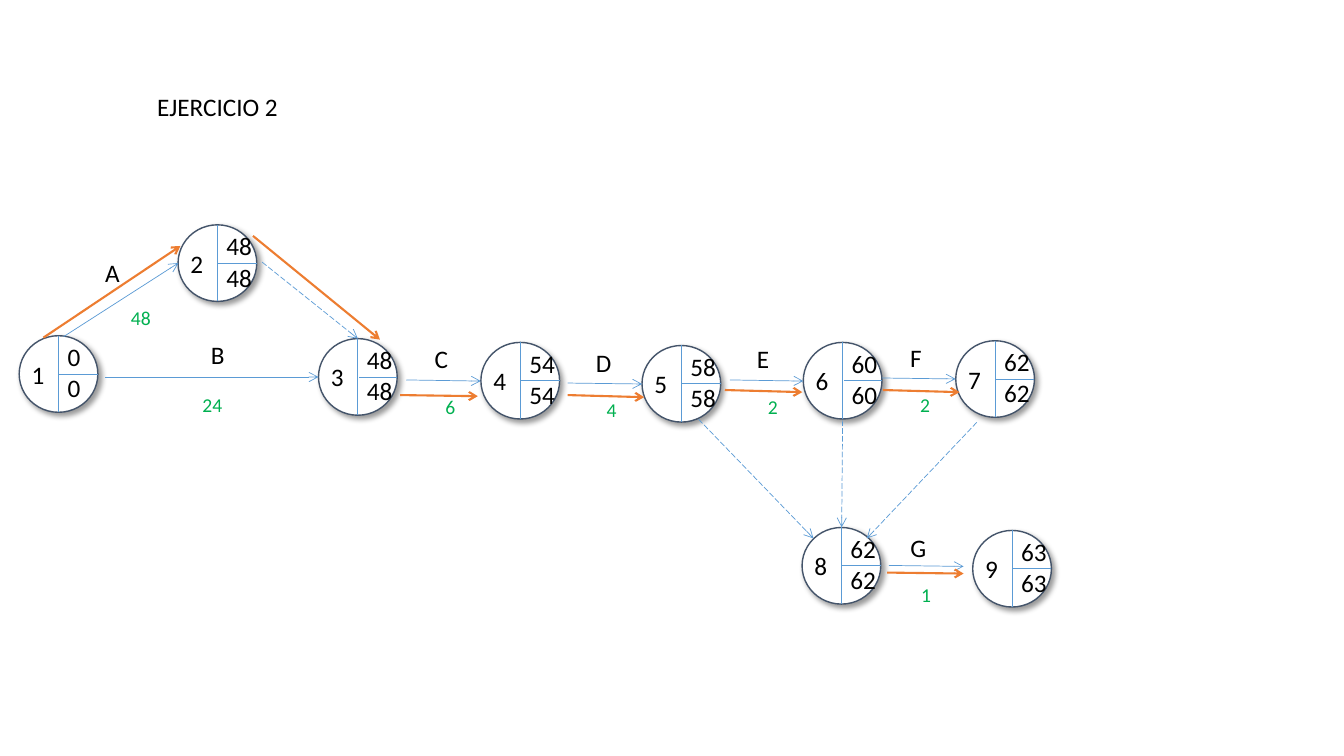
from typing import NamedTuple

from lxml import etree
from pptx import Presentation
from pptx.dml.color import RGBColor
from pptx.enum import dml, shapes, text
from pptx.oxml.ns import qn
from pptx.util import Pt

BLACK = RGBColor(0x00, 0x00, 0x00)
WHITE = RGBColor(0xFF, 0xFF, 0xFF)
NAVY = RGBColor(0x44, 0x54, 0x6A)
BLUE = RGBColor(0x5B, 0x9B, 0xD5)
ORANGE = RGBColor(0xED, 0x7D, 0x31)
GREEN = RGBColor(0x00, 0xB0, 0x50)
FONT = "Calibri"
NODE_W, NODE_H = 56.2, 54.7
INSET = 7.2


class Point(NamedTuple):
    x: float
    y: float


class Node(NamedTuple):
    number: int
    at: Point
    time: int  # earliest and latest times coincide at every node


class Arrow(NamedTuple):
    start: Point
    end: Point


class Activity(NamedTuple):
    name: str
    days: int
    arrow: Arrow
    name_at: Point
    days_at: Point


NODES = [
    Node(1, Point(13.7, 239.8), 0),
    Node(2, Point(127.2, 160.6), 48),
    Node(3, Point(227.5, 241.9), 48),
    Node(4, Point(343.5, 244.6), 54),
    Node(5, Point(458.6, 246.8), 58),
    Node(6, Point(573.8, 244.6), 60),
    Node(7, Point(682.7, 243.4), 62),
    Node(8, Point(572.9, 376.8), 62),
    Node(9, Point(694.8, 378.9), 63),
]
ACTIVITIES = [
    Activity("A", 48, Arrow(Point(45.4, 240.5), Point(127.4, 187.9)),
             Point(68, 180), Point(86.4, 214.6)),
    Activity("B", 24, Arrow(Point(74.9, 269.3), Point(227.5, 269.3)),
             Point(143.5, 239), Point(137.5, 277.2)),
    Activity("C", 6, Arrow(Point(290.2, 271.4), Point(343.4, 272.2)),
             Point(303.3, 241.9), Point(311, 278.6)),
    Activity("D", 4, Arrow(Point(405.4, 273.6), Point(458.6, 274.3)),
             Point(418.5, 244.8), Point(426.2, 280.8)),
    Activity("E", 2, Arrow(Point(521.3, 271.4), Point(573.8, 272.2)),
             Point(533.5, 241.9), Point(541.4, 278.6)),
    Activity("F", 2, Arrow(Point(630, 270), Point(682.6, 270.7)),
             Point(643, 241.2), Point(650.2, 277.2)),
    Activity("G", 1, Arrow(Point(635, 403.9), Point(688.3, 404.6)),
             Point(643.2, 376.6), Point(650.9, 412.6)),
]
DUMMIES = [
    Arrow(Point(187.2, 187.2), Point(255.6, 241.9)),
    Arrow(Point(499, 299.5), Point(581, 384.5)),
    Arrow(Point(601.9, 300.2), Point(601.2, 376.6)),
    Arrow(Point(697.7, 301.7), Point(619.2, 384.5)),
]
CRITICAL_PATH = [
    Arrow(Point(31, 241.2), Point(128.9, 175.7)),
    Arrow(Point(180.7, 168.5), Point(271.4, 242.6)),
    Arrow(Point(285.8, 282.2), Point(341.3, 283)),
    Arrow(Point(405.4, 282.2), Point(460.1, 283.7)),
    Arrow(Point(517.7, 278.6), Point(573.1, 280.1)),
    Arrow(Point(630.7, 278.6), Point(685.4, 280.1)),
    Arrow(Point(633.6, 409), Point(688.3, 409.7)),
]


def add_label(parent, at: Point, words: str, size: float = 18,
              color: RGBColor = BLACK, width: float = 0) -> None:
    width = width or 2 * INSET + len(words) * size * 0.507
    sp = parent.add_textbox(Pt(at.x), Pt(at.y), Pt(width), Pt(size * 1.2 + INSET))
    tf = sp.text_frame
    tf.word_wrap = False
    tf.auto_size = text.MSO_AUTO_SIZE.SHAPE_TO_FIT_TEXT
    r = tf.paragraphs[0].add_run()
    r.text = words
    r.font.name, r.font.size = FONT, Pt(size)
    r.font.color.rgb = color


def add_line(parent, start: Point, end: Point, color: RGBColor = BLUE,
             weight: float = 0.5, dashed: bool = False, head: bool = False) -> None:
    cx = parent.add_connector(shapes.MSO_CONNECTOR.STRAIGHT,
                              Pt(start.x), Pt(start.y), Pt(end.x), Pt(end.y))
    cx.line.color.rgb = color
    cx.line.width = Pt(weight)
    if dashed:
        cx.line.dash_style = dml.MSO_LINE.LONG_DASH
    sp_pr = cx._element.spPr
    if head:
        etree.SubElement(sp_pr.find(qn("a:ln")), qn("a:tailEnd"), type="arrow")
    etree.SubElement(sp_pr, qn("a:effectLst"))


def add_shadow(sp) -> None:
    sp.shadow.inherit = False
    effects = sp._element.spPr.find(qn("a:effectLst"))
    shadow = etree.SubElement(effects, qn("a:outerShdw"), blurRad=str(Pt(4)),
                              dist=str(Pt(3)), dir=str(45 * 60000),
                              algn="tl", rotWithShape="0")
    tint = etree.SubElement(shadow, qn("a:srgbClr"), val=str(BLACK))
    etree.SubElement(tint, qn("a:alpha"), val="40000")


def add_node(parent, node: Node) -> None:
    group = parent.add_group_shape().shapes
    x, y = node.at
    mid_x, mid_y = x + NODE_W / 2, y + NODE_H / 2
    sp = group.add_shape(shapes.MSO_SHAPE.OVAL, Pt(x), Pt(y), Pt(NODE_W), Pt(NODE_H))
    sp.fill.solid()
    sp.fill.fore_color.rgb = WHITE
    sp.line.color.rgb = NAVY
    sp.line.width = Pt(1)
    add_shadow(sp)
    add_line(group, Point(mid_x, y), Point(mid_x, y + NODE_H))
    add_line(group, Point(x + NODE_W, mid_y), Point(mid_x + 0.7, mid_y))
    add_label(group, Point(x + 1.8, y + 13), str(node.number))
    for drop in (0.5, 22.9):
        add_label(group, Point(x + 27.5, y + drop), str(node.time))


prs = Presentation()
prs.slide_width, prs.slide_height = Pt(960), Pt(540)
s = prs.slides.add_slide(prs.slide_layouts[6])

# Title
add_label(s.shapes, Point(105.1, 61.9), "EJERCICIO 2", width=101.5)

# Nodes
for n in NODES:
    add_node(s.shapes, n)

# Activities with their durations
for a in ACTIVITIES:
    add_line(s.shapes, *a.arrow, head=True)
    add_label(s.shapes, a.name_at, a.name)
    add_label(s.shapes, a.days_at, str(a.days), 14, GREEN)

# Dummy activities
for d in DUMMIES:
    add_line(s.shapes, *d, dashed=True, head=True)

# Critical path
for c in CRITICAL_PATH:
    add_line(s.shapes, *c, color=ORANGE, weight=1.5, head=True)

prs.save("out.pptx")
